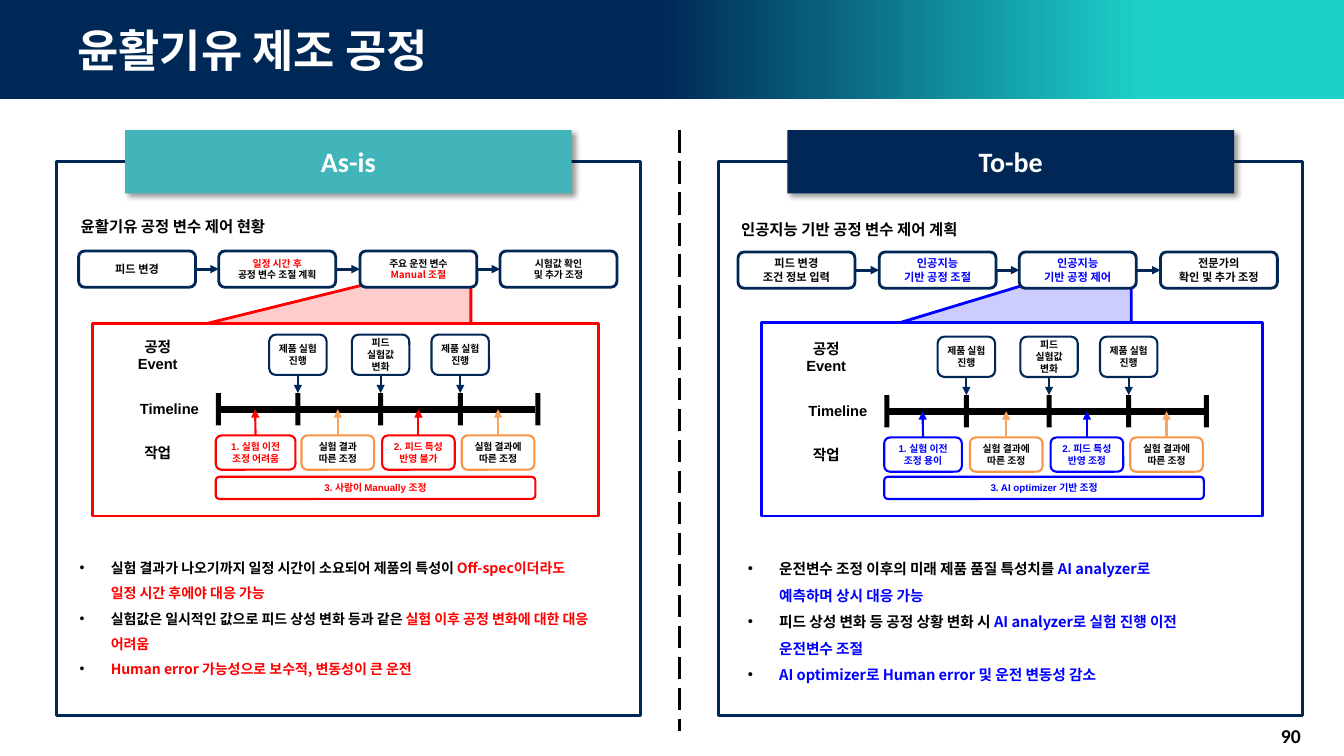
from lxml import etree
from pptx import Presentation
from pptx.dml.color import RGBColor
from pptx.enum.dml import MSO_LINE
from pptx.enum.shapes import MSO_CONNECTOR, MSO_SHAPE
from pptx.enum.text import MSO_ANCHOR, PP_ALIGN
from pptx.oxml.ns import qn
from pptx.util import Pt

PX = 9144  # 100 px to the inch
RECT, ROUNDED = MSO_SHAPE.RECTANGLE, MSO_SHAPE.ROUNDED_RECTANGLE
STRAIGHT, LONG_DASH = MSO_CONNECTOR.STRAIGHT, MSO_LINE.LONG_DASH
TOP_ANCHOR, MIDDLE = MSO_ANCHOR.TOP, MSO_ANCHOR.MIDDLE
LEFT, CENTER, RIGHT = PP_ALIGN.LEFT, PP_ALIGN.CENTER, PP_ALIGN.RIGHT
TOP_SIDE, LEFT_SIDE, BOTTOM_SIDE, RIGHT_SIDE = range(4)
KOREAN, ARIAL, CALIBRI = "Noto Sans CJK KR", "Arial", "Calibri"
COLORS = {
    "navy": "002755", "banner": "002856", "aqua": "1CCFC9", "teal": "41B5BA",
    "red": "FF0000", "pink": "FFCCCC", "blue": "0000FF", "lilac": "CCCCFF",
    "orange": "F79646", "peach": "F8A560", "black": "000000", "white": "FFFFFF",
}


def rgb(color):
    return RGBColor.from_string(COLORS[color])


def lines_in(color, *texts):
    """Lines of one colour, each a list of (text, colour) runs."""
    return [[(text, color)] for text in texts]


def style(shape, fill=None, line=None, width=2):
    shape.shadow.inherit = False
    if fill:
        shape.fill.solid()
        shape.fill.fore_color.rgb = rgb(fill)
    else:
        shape.fill.background()
    if line:
        shape.line.color.rgb = rgb(line)
        shape.line.width = Pt(width)
    else:
        shape.line.fill.background()
    return shape


def add_box(slide, kind, box, fill=None, line=None, width=2):
    return style(slide.shapes.add_shape(kind, *(v * PX for v in box)), fill, line, width)


def connect(slide, ends, color, width, start=None, finish=None, arrow=True):
    """Line between two points; start and finish are (shape, side) joints."""
    line = slide.shapes.add_connector(STRAIGHT, *(v * PX for v in ends))
    if start:
        line.begin_connect(*start)
    if finish:
        line.end_connect(*finish)
    line.line.color.rgb = rgb(color)
    line.line.width = Pt(width)
    if arrow:
        etree.SubElement(line.line._get_or_add_ln(), qn("a:tailEnd"), type="triangle")
    etree.SubElement(line._element.spPr, qn("a:effectLst"))
    return line


def add_bullet(paragraph):
    properties = paragraph._p.get_or_add_pPr()
    properties.set("marL", str(31 * PX))
    properties.set("indent", str(-31 * PX))
    bullet_color = etree.SubElement(properties, qn("a:buClr"))
    etree.SubElement(bullet_color, qn("a:srgbClr"), val=COLORS["black"])
    etree.SubElement(properties, qn("a:buFont"), typeface=ARIAL)
    etree.SubElement(properties, qn("a:buChar"), char="•")


def write(shape, lines, size, font, align=CENTER, anchor=MIDDLE, inset=(4, 4),
          wrap=True, bulleted=False):
    frame = shape.text_frame
    frame.word_wrap, frame.vertical_anchor = wrap, anchor
    frame.margin_left = frame.margin_right = inset[0] * PX
    frame.margin_top = frame.margin_bottom = inset[1] * PX
    for i, runs in enumerate(lines):
        paragraph = frame.paragraphs[0] if i == 0 else frame.add_paragraph()
        paragraph.alignment = align
        if bulleted:
            paragraph.line_spacing = 1.5
            add_bullet(paragraph)
        base = runs[0][1]
        paragraph.font.size, paragraph.font.bold = Pt(size), True
        paragraph.font.color.rgb = rgb(base)
        paragraph.font.name = font
        for text, color in runs:
            for j, piece in enumerate(text.split("\n")):
                if j:
                    paragraph.add_line_break()
                run = paragraph.add_run()
                run.text = piece
                if color != base:
                    run.font.color.rgb = rgb(color)


def add_text(slide, box, lines, size, font, **options):
    write(slide.shapes.add_textbox(*(v * PX for v in box)), lines, size, font, **options)


def banner(slide, box):
    x, y, w, h = box
    band = add_box(slide, RECT, box, "banner")
    band.fill.gradient()
    band.fill.gradient_angle = 0
    for stop, color, position in zip(band.fill.gradient_stops, ("banner", "aqua"), (0.49, 0.85)):
        stop.color.rgb, stop.position = rgb(color), position
    add_text(slide, (x + 67, y, 1200, h), lines_in("white", "윤활기유 제조 공정"), 32, ARIAL,
             align=LEFT, inset=(10, 5))


def panel(slide, box, name, tab_color):
    x, y, w, h = box
    add_box(slide, RECT, box, line="banner")
    tab = add_box(slide, RECT, (x + 68, y - 31, w - 136, 63), tab_color)
    write(tab, lines_in("white", name), 20, CALIBRI)
    shadow = etree.SubElement(tab._element.spPr.find(qn("a:effectLst")), qn("a:outerShdw"),
                              blurRad=str(Pt(4)), dist=str(Pt(3)), dir="2700000",
                              algn="tl", rotWithShape="0")
    shade = etree.SubElement(shadow, qn("a:srgbClr"), val=COLORS["black"])
    etree.SubElement(shade, qn("a:alpha"), val="40000")


def callout(slide, box, slant, fill, line):
    """Funnel from a process step down to the frame of its timeline."""
    x, y, w, h = box
    outline = slide.shapes.build_freeform(x, y + h, scale=PX)
    outline.add_line_segments([(x + slant, y), (x + w, y), (x + w, y + h)], close=True)
    style(outline.convert_to_shape(), fill, line)


def process(slide, box, steps):
    x, y, w, h = box
    previous = None
    for i, (size, lines) in enumerate(steps):
        left = x + round(i * (w - 116) / 3)
        step = add_box(slide, ROUNDED, (left, y, 116, h), "white", "navy")
        write(step, lines, size, KOREAN)
        if previous:
            connect(slide, (left - 24, y + h // 2, left, y + h // 2), "navy", 2,
                    (previous, RIGHT_SIDE), (step, LEFT_SIDE))
        previous = step


def timeline(slide, box, accent, first_width, tasks, summary):
    x, y, w, h = box
    axis_y = y + 74
    labels = [((-89, -2, 63, 47), ("공정", "Event")), ((-90, 60, 88, 29), ("Timeline",)),
              ((-86, 103, 57, 29), ("작업",))]
    for (dx, dy, width, height), texts in labels:
        add_text(slide, (x + dx, y + dy, width, height), lines_in("black", *texts), 10.5, ARIAL,
                 anchor=TOP_ANCHOR, inset=(10, 5))
    ticks = [add_box(slide, RECT, (x + dx, y + 58, 5, 32), "black")
             for dx in (0, 79, 161, 240, w - 5)]
    connect(slide, (x + 5, axis_y, x + w - 5, axis_y), "black", 5,
            (ticks[0], RIGHT_SIDE), (ticks[-1], LEFT_SIDE), arrow=False)
    test = ("제품 실험", "진행")
    for tick, texts in zip(ticks[1:-1], (test, ("피드", "실험값", "변화"), test)):
        left = tick.left // PX - 26
        event = add_box(slide, ROUNDED, (left, y, 57, 40), "white", "navy", 1.5)
        write(event, lines_in("black", *texts), 7, ARIAL, inset=(0, 5))
        connect(slide, (left + 28, y + 40, left + 28, y + 58), "navy", 1.5,
                (event, BOTTOM_SIDE), (tick, TOP_SIDE))
    for i, (dx, texts) in enumerate(zip((0, 85, 165, 244), tasks)):
        border, ink, arrow = (("orange", "black", "peach") if i % 2 else (accent,) * 3)
        width = 72 if i else first_width
        task = add_box(slide, ROUNDED, (x + dx, y + 100, width, 34), "white", border, 1.5)
        write(task, lines_in(ink, *texts), 7, ARIAL, inset=(0, 5))
        middle = x + dx + width // 2
        connect(slide, (middle, y + 100, middle, axis_y), arrow, 1.5, (task, TOP_SIDE))
    bar = add_box(slide, ROUNDED, (x, y + h - 22, w - 5, 22), "white", accent, 1.5)
    write(bar, lines_in(accent, summary), 7, ARIAL, inset=(0, 5))


def bullets(slide, box, size, points):
    add_text(slide, box, points, size, KOREAN, align=LEFT, anchor=TOP_ANCHOR,
             inset=(10, 5), bulleted=True)


def heading(slide, box, text):
    add_text(slide, box, lines_in("black", text), 11, KOREAN, align=LEFT,
             anchor=TOP_ANCHOR, wrap=False)


def as_is(slide):
    panel(slide, (56, 160, 579, 550), "As-is", "teal")
    heading(slide, (76, 211, 218, 28), "윤활기유 공정 변수 제어 현황")
    callout(slide, (205, 283, 262, 38), 154, "pink", "red")
    process(slide, (78, 249, 534, 36), [
        (8, lines_in("black", "피드 변경")),
        (7, lines_in("red", "일정 시간 후") + lines_in("black", "공정 변수 조절 계획")),
        (7, lines_in("black", "주요 운전 변수") + lines_in("red", "Manual 조절")),
        (7, lines_in("black", "시험값 확인", "및 추가 조정"))])
    add_box(slide, RECT, (92, 321, 502, 191), "white", "red")
    timeline(slide, (214, 332, 322, 163), "red", 79, [
        ("1. 실험 이전", "조정 어려움"), ("실험 결과", "따른 조정"),
        ("2. 피드 특성", "반영 불가"), ("실험 결과에", "따른 조정")], "3. 사람이 Manually 조정")
    bullets(slide, (69, 542, 559, 133), 10, [
        [("실험 결과가 나오기까지 일정 시간이 소요되어 제품의 특성이 ", "black"),
         ("Off-spec이더라도\n일정 시간 후에야 대응 가능", "red")],
        [("실험값은 일시적인 값으로 피드 상성 변화 등과 같은 ", "black"),
         ("실험 이후 공정 변화에 대한 대응 어려움", "red")],
        [("Human error 가능성으로 보수적, 변동성이 큰 운전", "red")]])


def to_be(slide):
    panel(slide, (713, 160, 579, 550), "To-be", "navy")
    heading(slide, (731, 214, 251, 28), "인공지능 기반 공정 변수 제어 계획")
    callout(slide, (893, 283, 229, 37), 122, "lilac", "blue")
    process(slide, (732, 250, 535, 36), [
        (8, lines_in("black", "피드 변경", "조건 정보 입력")),
        (8, lines_in("blue", "인공지능", "기반 공정 조절")),
        (8, lines_in("blue", "인공지능", "기반 공정 제어")),
        (8, lines_in("black", "전문가의", "확인 및 추가 조정"))])
    add_box(slide, RECT, (755, 320, 497, 192), "white", "blue")
    timeline(slide, (877, 334, 322, 161), "blue", 77, [
        ("1. 실험 이전", "조정 용이"), ("실험 결과에", "따른 조정"),
        ("2. 피드 특성", "반영 조정"), ("실험 결과에", "따른 조정")], "3. AI optimizer 기반 조정")
    bullets(slide, (732, 542, 535, 139), 10.5, [
        [("운전변수 조정 이후의 미래 제품 품질 특성치를 ", "black"),
         ("AI analyzer로\n예측하며 상시 대응 가능", "blue")],
        [("피드 상성 변화 등 공정 상황 변화 시 ", "black"),
         ("AI analyzer로 실험 진행 이전\n운전변수 조절", "blue")],
        [("AI optimizer로 Human error 및 운전 변동성 감소", "blue")]])


def main():
    deck = Presentation()
    deck.slide_width, deck.slide_height = 1333 * PX, 750 * PX
    slide = deck.slides.add_slide(deck.slide_layouts[6])
    banner(slide, (0, 0, 1333, 98))
    divider = connect(slide, (674, 129, 674, 725), "black", 2, arrow=False)
    divider.line.dash_style = LONG_DASH
    as_is(slide)
    to_be(slide)
    add_text(slide, (1010, 710, 290, 40), lines_in("black", "90"), 14, CALIBRI,
             align=RIGHT, inset=(10, 5))
    deck.save("out.pptx")


if __name__ == "__main__":
    main()
